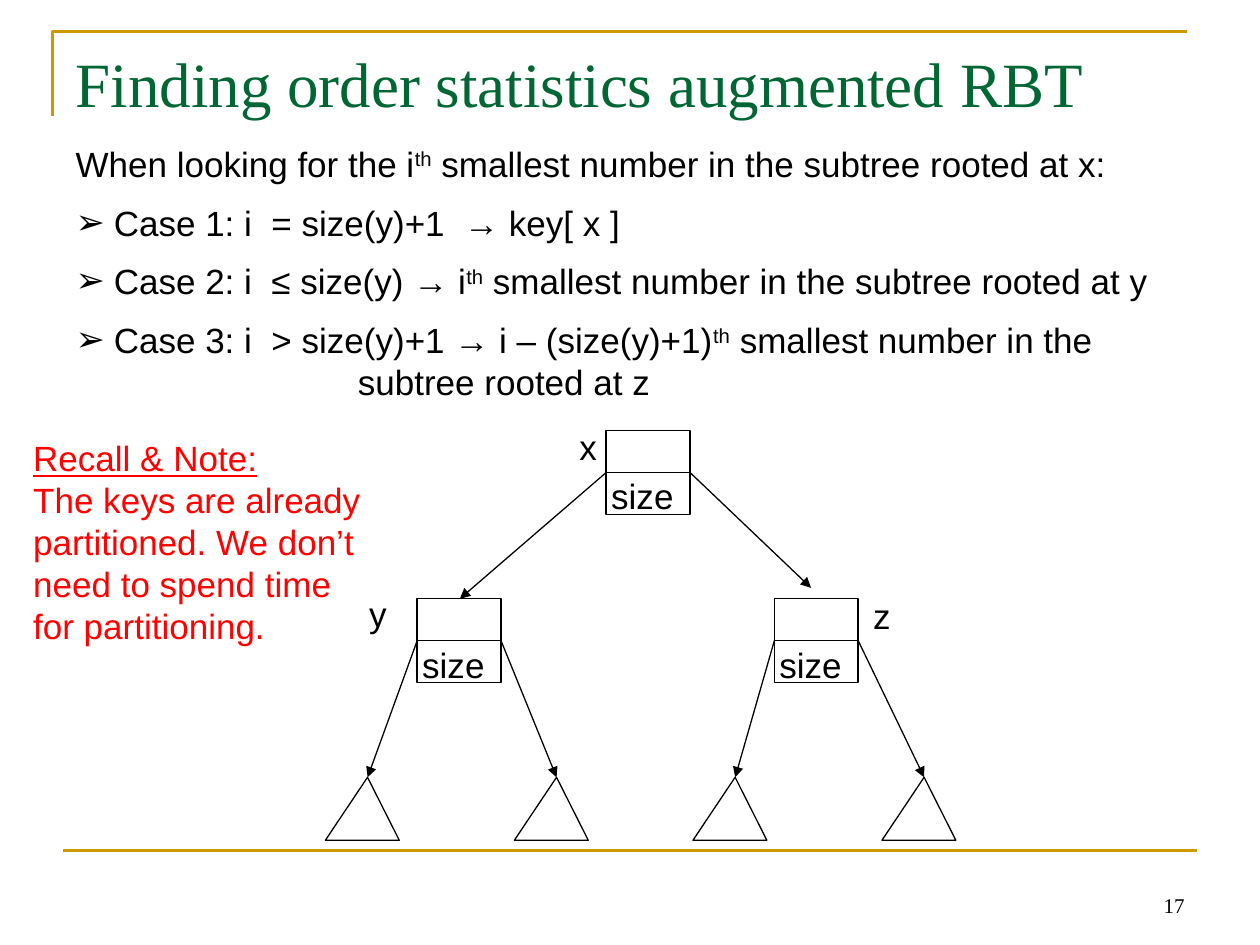
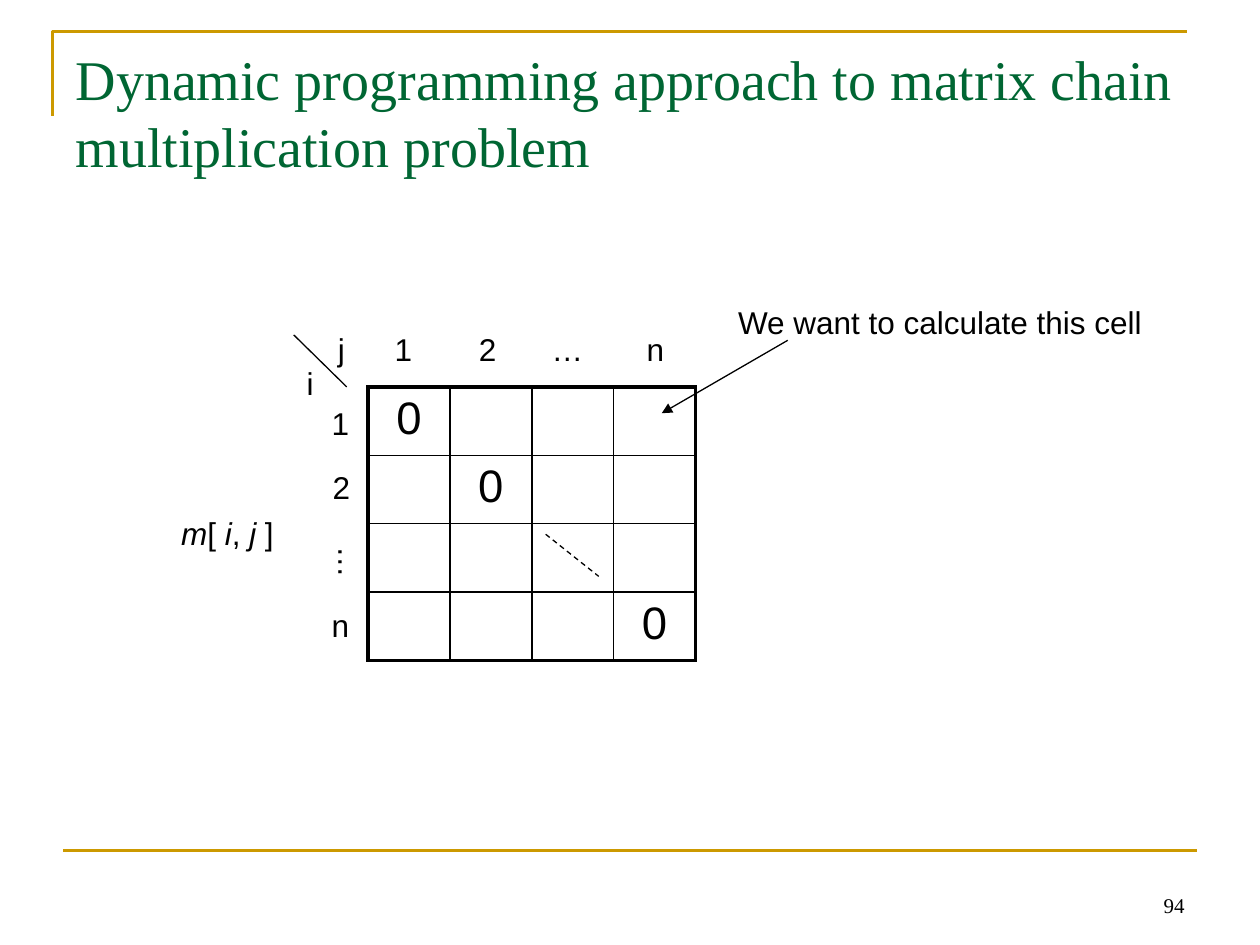
from lxml import etree
from pptx import Presentation
from pptx import util as u
from pptx.dml.color import RGBColor
from pptx.enum import dml, shapes, text
from pptx.oxml.ns import qn

Cm, Pt = u.Cm, u.Pt
GOLD, GREEN, RED, BLACK = "CC9900", "006633", "FF0101", "000000"
SANS, SERIF = "Arial", "Times New Roman"
LEFT, CENTER, RIGHT = text.PP_ALIGN.LEFT, text.PP_ALIGN.CENTER, text.PP_ALIGN.RIGHT
STRAIGHT = shapes.MSO_CONNECTOR.STRAIGHT


def add_label(slide, lines, left, top, width, size, align=CENTER, color=BLACK, font=SANS, height=1.02):
    """Add a text box with one paragraph per line."""
    box = slide.shapes.add_textbox(Cm(left), Cm(top), Cm(width), Cm(height))
    box.text_frame.word_wrap = True
    box.text_frame.text = lines
    for paragraph in box.text_frame.paragraphs:
        paragraph.alignment = align
        paragraph.font.name = font
        paragraph.font.size = Pt(size)
        paragraph.font.color.rgb = RGBColor.from_string(color)
    return box


def set_line(shape, color=BLACK, width=0.75, arrow=False):
    """Give a shape or connector a plain line without shadow."""
    shape.line.color.rgb = RGBColor.from_string(color)
    shape.line.width = Pt(width)
    properties = shape._element.spPr
    if arrow:
        etree.SubElement(properties.find(qn("a:ln")), qn("a:tailEnd"), type="triangle")
    etree.SubElement(properties, qn("a:effectLst"))


presentation = Presentation()
presentation.slide_width, presentation.slide_height = Cm(25.4), Cm(19.05)

# Shared frame, title and page number
pages = [
    (1, "Finding order statistics augmented RBT", 36, "17"),
    (5, "Dynamic programming approach to matrix chain multiplication problem", 32, "94"),
]
for layout, title_text, title_size, number in pages:
    slide = presentation.slides.add_slide(presentation.slide_layouts[layout])
    corner = slide.shapes.build_freeform(Cm(1.06), Cm(2.33))
    corner.add_line_segments([(Cm(1.06), Cm(0.64)), (Cm(23.92), Cm(0.64))], close=False)
    frame = corner.convert_to_shape()
    frame.fill.background()
    set_line(frame, GOLD, 1.5)
    rule = slide.shapes.add_connector(STRAIGHT, Cm(1.27), Cm(17.15), Cm(24.13), Cm(17.15))
    set_line(rule, GOLD, 1.5)

    title = slide.shapes.title
    title.left, title.top, title.width, title.height = Cm(1.27), Cm(0.76), Cm(22.86), Cm(3.18)
    title.text_frame.text = title_text
    title.text_frame.vertical_anchor = text.MSO_ANCHOR.TOP
    title.text_frame.auto_size = text.MSO_AUTO_SIZE.NONE
    paragraph = title.text_frame.paragraphs[0]
    paragraph.alignment = LEFT
    paragraph.font.name = SERIF
    paragraph.font.size = Pt(title_size)
    paragraph.font.color.rgb = RGBColor.from_string(GREEN)

    page_number = add_label(slide, number, 18.21, 17.35, 5.92, 12, RIGHT, font=SERIF, height=1.27)
    page_number.text_frame.vertical_anchor = text.MSO_ANCHOR.BOTTOM

tree_slide, matrix_slide = presentation.slides

# Slide 1: the cases; every second piece is a superscript
body = tree_slide.placeholders[1]
body.left, body.top, body.width, body.height = Cm(1.27), Cm(2.74), Cm(22.66), Cm(5.51)
body.text_frame.auto_size = text.MSO_AUTO_SIZE.NONE
cases = [  # bullet, left indent, space before, pieces
    (False, 0, 0, ["When looking for the i", "th", " smallest number in the subtree rooted at x:"]),
    (True, 0.77, 9.6, ["Case 1: i  = size(y)+1  → key[ x ]"]),
    (True, 0.77, 9.6, ["Case 2: i  ≤ size(y) → i", "th", " smallest number in the subtree rooted at y"]),
    (True, 0.77, 9.6, ["Case 3: i  > size(y)+1 → i – (size(y)+1)", "th", " smallest number in the"]),
    (False, 5.69, 0, ["subtree rooted at z"]),
]
for index, (bullet, indent, space, pieces) in enumerate(cases):
    paragraph = body.text_frame.paragraphs[0] if index == 0 else body.text_frame.add_paragraph()
    paragraph.space_before = Pt(space)
    properties = paragraph._p.get_or_add_pPr()
    properties.set("marL", str(Cm(indent)))
    properties.set("indent", str(-Cm(indent) if bullet else 0))
    if bullet:
        etree.SubElement(properties, qn("a:buChar"), char="➢")
    else:
        etree.SubElement(properties, qn("a:buNone"))
    paragraph.font.name = SANS
    paragraph.font.size = Pt(20)
    paragraph.font.color.rgb = RGBColor.from_string(BLACK)
    for position, piece in enumerate(pieces):
        run = paragraph.add_run()
        run.text = piece
        if position % 2:
            run._r.get_or_add_rPr().set("baseline", "30000")

# Slide 1: tree nodes with their arrows and subtrees
SIDE, LEAF_TOP = 1.69, 15.67
nodes = [  # name, name position, node position, ends of the two arrows
    ("x", (11.43, 8.46), (12.22, 8.68), [(9.27, 12.07), (16.35, 11.85)]),
    ("y", (7.19, 11.81), (8.41, 12.07), [(7.41, LEAF_TOP), (11.22, LEAF_TOP)]),
    ("z", (17.35, 11.86), (15.61, 12.07), [(14.82, LEAF_TOP), (18.63, LEAF_TOP)]),
]
for name, name_position, (left, top), ends in nodes:
    node = tree_slide.shapes.add_shape(
        shapes.MSO_SHAPE.RECTANGLE, Cm(left), Cm(top), Cm(SIDE), Cm(SIDE))
    node.fill.background()
    set_line(node)
    middle = top + SIDE / 2
    divider = tree_slide.shapes.add_connector(
        STRAIGHT, Cm(left), Cm(middle), Cm(left + SIDE), Cm(middle))
    set_line(divider)
    add_label(tree_slide, "size", left - 0.27, top + 0.77, 2, 20)
    add_label(tree_slide, name, *name_position, 0.85, 20, LEFT)
    for start, (end_x, end_y) in zip((left, left + SIDE), ends):
        arrow = tree_slide.shapes.add_connector(
            STRAIGHT, Cm(start), Cm(middle), Cm(end_x), Cm(end_y))
        set_line(arrow, arrow=True)
        if end_y == LEAF_TOP:
            outline = tree_slide.shapes.build_freeform(Cm(end_x), Cm(end_y))
            base = Cm(end_y + 1.27)
            outline.add_line_segments([(Cm(end_x - 0.85), base), (Cm(end_x + 0.64), base)])
            subtree = outline.convert_to_shape()
            subtree.fill.background()
            set_line(subtree)

# Slide 1: note
note = add_label(
    tree_slide,
    "Recall & Note:\nThe keys are already partitioned. We don’t\nneed to spend time\nfor partitioning.",
    0.42, 8.68, 8.05, 20, LEFT, RED, height=4.52)
note.text_frame.paragraphs[0].runs[0].font.underline = True

# Slide 2: matrix with zeros on the diagonal
SIZE = 4
matrix = matrix_slide.shapes.add_table(SIZE, SIZE, Cm(7.42), Cm(7.8), Cm(6.6), Cm(5.52)).table
matrix.first_row = matrix.horz_banding = False
for row in range(SIZE):
    matrix.rows[row].height = Cm(1.38)
    matrix.columns[row].width = Cm(1.65)
    for column in range(SIZE):
        cell = matrix.cell(row, column)
        properties = cell._tc.get_or_add_tcPr()
        outer_sides = {"L": column == 0, "R": column == SIZE - 1, "T": row == 0, "B": row == SIZE - 1}
        for side, outer in outer_sides.items():
            border = etree.SubElement(properties, qn("a:ln" + side), w=str(Pt(2.25 if outer else 1)))
            fill = etree.SubElement(border, qn("a:solidFill"))
            etree.SubElement(fill, qn("a:srgbClr"), val=BLACK)
        cell.fill.background()
        if row == column != 2:
            cell.text = "0"
            paragraph = cell.text_frame.paragraphs[0]
            paragraph.alignment = CENTER
            paragraph.font.name = SANS
            paragraph.font.size = Pt(26)
            paragraph.font.color.rgb = RGBColor.from_string(BLACK)

# Slide 2: index labels, placed by their centre
LABEL_WIDTH = 1.2
index_labels = [
    ("i", 6.25, 7.21), ("j", 6.88, 6.53),
    ("1", 8.13, 6.53), ("2", 9.83, 6.53), ("…", 11.44, 6.53), ("n", 13.21, 6.53),
    ("1", 6.86, 8.03), ("2", 6.88, 9.32), ("…", 7.07, 10.82), ("n", 6.86, 12.09),
]
for symbol, center, top in index_labels:
    label = add_label(matrix_slide, symbol, center - LABEL_WIDTH / 2, top, LABEL_WIDTH, 18)
    if symbol == "…" and top > 7:
        label.rotation = 90

# Slide 2: index divider, diagonal and pointer
index_divider, diagonal, pointer = [
    matrix_slide.shapes.add_connector(STRAIGHT, *map(Cm, points))
    for points in [(5.92, 6.75, 6.99, 7.8), (11, 10.77, 12.07, 11.62), (15.88, 6.86, 13.34, 8.33)]
]
set_line(index_divider)
set_line(diagonal)
diagonal.line.dash_style = dml.MSO_LINE.DASH
set_line(pointer, arrow=True)

# Slide 2: captions
add_label(matrix_slide, "We want to calculate this cell", 14.63, 5.99, 9, 18, LEFT)
entry = add_label(matrix_slide, "", 3.4, 10.24, 2.6, 18, LEFT)
for position, piece in enumerate(["m", "[ ", "i", ", ", "j", " ]"]):
    run = entry.text_frame.paragraphs[0].add_run()
    run.text = piece
    run.font.italic = position % 2 == 0

presentation.save("out.pptx")
